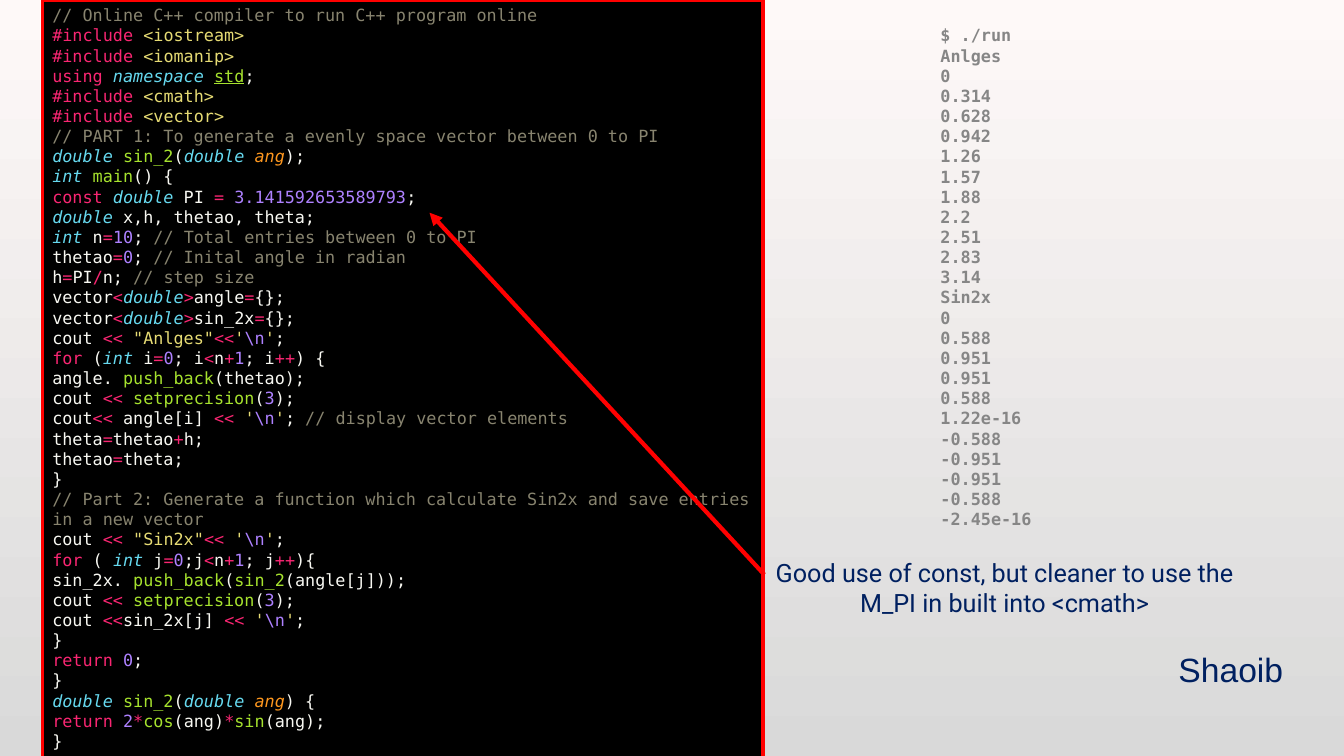
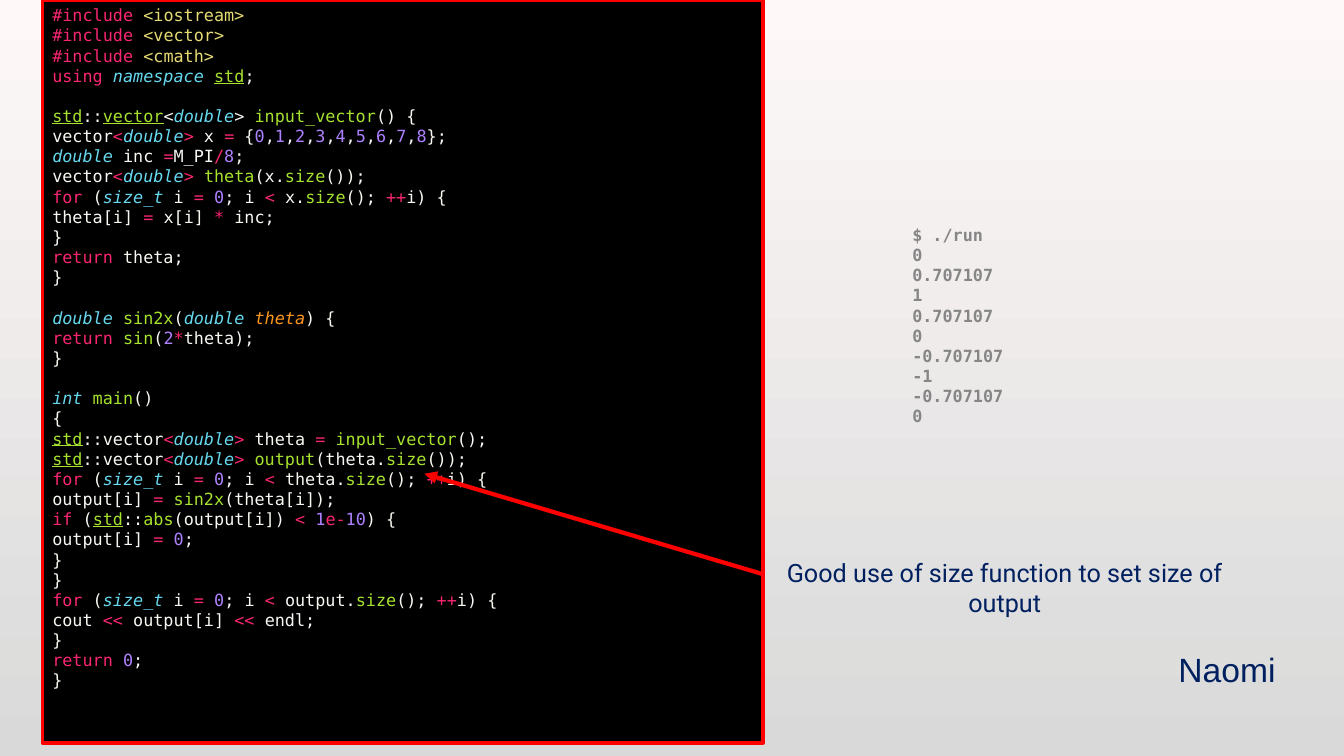
from dataclasses import dataclass
from typing import NamedTuple

from lxml.etree import SubElement
from pptx import Presentation
from pptx.dml.color import RGBColor
from pptx.enum.shapes import MSO_CONNECTOR as Link, MSO_SHAPE as Shape
from pptx.enum.text import MSO_ANCHOR as Anchor, PP_ALIGN as Align
from pptx.oxml.ns import qn
from pptx.slide import Slide
from pptx.text.text import TextFrame
from pptx.util import Inches, Pt

PALE = RGBColor(0xFE, 0xF9, 0xF8)
SILVER = RGBColor(0xD9, 0xD9, 0xD9)
BLACK = RGBColor(0x00, 0x00, 0x00)
RED = RGBColor(0xFF, 0x00, 0x00)
NAVY = RGBColor(0x00, 0x20, 0x60)
GRAY = RGBColor(0x86, 0x86, 0x86)
STONE = RGBColor(0x88, 0x84, 0x6F)
PINK = RGBColor(0xF9, 0x26, 0x72)
YELLOW = RGBColor(0xE6, 0xDB, 0x74)
CYAN = RGBColor(0x66, 0xD9, 0xEF)
GREEN = RGBColor(0xA6, 0xE2, 0x2E)
WHITE = RGBColor(0xF8, 0xF8, 0xF2)
PURPLE = RGBColor(0xAE, 0x81, 0xFF)
ORANGE = RGBColor(0xFD, 0x97, 0x1F)

MONO = "DejaVu Sans Mono"
PITCH = Pt(14.4)


class Style(NamedTuple):
    """Look of one kind of code token."""

    color: RGBColor
    italic: bool = False
    under: bool = False


STYLES = {
    "c": Style(STONE),
    "p": Style(PINK),
    "y": Style(YELLOW),
    "t": Style(CYAN, italic=True),
    "g": Style(GREEN),
    "u": Style(GREEN, under=True),
    "w": Style(WHITE),
    "n": Style(PURPLE),
    "a": Style(ORANGE, italic=True),
}


class Box(NamedTuple):
    """Place of a text box in inches."""

    left: float
    top: float
    width: float
    height: float


@dataclass(frozen=True)
class Review:
    """One program with its output, author and remark."""

    author: str
    remark: str
    blocks: tuple[str, ...]
    gap: Pt
    tall: float
    output: str
    spot: Box
    tip: tuple[float, float]


ANGLE_CODE = (
    r"""~c// Online C++ compiler to run C++ program online
~p#include ~y<iostream>
~p#include ~y<iomanip>
~pusing ~tnamespace ~ustd~w;
~p#include ~y<cmath>
~p#include ~y<vector>
~c// PART 1: To generate a evenly space vector between 0 to PI
~tdouble ~gsin_2~w(~tdouble ~aang~w);""",
    r"""~tint ~gmain~w() {
~pconst ~tdouble~w PI ~p= ~n3.141592653589793~w;
~tdouble ~wx,h, thetao, theta;
~tint~w n~p=~n10~w;~c // Total entries between 0 to PI
~wthetao~p=~n0~w;~c // Inital angle in radian
~wh~p=~wPI~p/~wn;~c // step size
~wvector~p<~tdouble~p>~wangle~p=~w{};
~wvector~p<~tdouble~p>~wsin_2x~p=~w{};
~wcout ~p<< ~y"Anlges"~p<<~y'~n\n~y'~w;""",
    r"""~pfor~w (~tint ~wi~p=~n0~w; i~p<~wn~p+~n1~w; i~p++~w) {
~wangle. ~gpush_back~w(thetao);
~wcout ~p<< ~gsetprecision~w(~n3~w);
~wcout~p<<~w angle[i] ~p<< ~y'~n\n~y'~w;~c // display vector elements
~wtheta~p=~wthetao~p+~wh;
~wthetao~p=~wtheta;
~w}""",
    r"""~c// Part 2: Generate a function which calculate Sin2x and save entries in a new vector
~wcout ~p<< ~y"Sin2x"~p<< ~y'~n\n~y'~w;
~pfor~w ( ~tint~w j~p=~n0~w;j~p<~wn~p+~n1~w; j~p++~w){
~wsin_2x. ~gpush_back~w(~gsin_2~w(angle[j]));
~wcout ~p<< ~gsetprecision~w(~n3~w);
~wcout ~p<<~wsin_2x[j] ~p<< ~y'~n\n~y'~w;
~w}
~preturn ~n0~w;
~w}""",
    r"""~tdouble ~gsin_2~w(~tdouble ~aang~w) {
~preturn ~n2~p*~gcos~w(ang)~p*~gsin~w(ang);
~w}""",
)

SIZE_CODE = (
    r"""~p#include ~y<iostream>
~p#include ~y<vector>
~p#include ~y<cmath>
~pusing ~tnamespace ~ustd~w;""",
    r"""~ustd~w::~uvector~w<~tdouble~w> ~ginput_vector~w() {
~wvector~p<~tdouble~p>~w x ~p=~w {~n0~w,~n1~w,~n2~w,~n3~w,~n4~w,~n5~w,~n6~w,~n7~w,~n8~w};
~tdouble ~winc ~p=~wM_PI~p/~n8~w;
~wvector~p<~tdouble~p> ~gtheta~w(x.~gsize~w());
~pfor~w (~tsize_t ~wi ~p= ~n0~w; i ~p< ~wx.~gsize~w(); ~p++~wi) {
~wtheta[i] ~p=~w x[i] ~p* ~winc;
~w}
~preturn~w theta;
~w}""",
    r"""~tdouble ~gsin2x~w(~tdouble ~atheta~w) {
~preturn ~gsin~w(~n2~p*~wtheta);
~w}""",
    r"""~tint ~gmain~w()
~w{
~ustd~w::vector~p<~tdouble~p>~w theta ~p= ~ginput_vector~w();
~ustd~w::vector~p<~tdouble~p> ~goutput~w(theta.~gsize~w());
~pfor~w (~tsize_t ~wi ~p= ~n0~w; i ~p< ~wtheta.~gsize~w(); ~p++~wi) {
~woutput[i] ~p= ~gsin2x~w(theta[i]);
~pif~w (~ustd~w::~gabs~w(output[i]) ~p< ~n1~pe-~n10~w) {
~woutput[i] ~p= ~n0~w;
~w}
~w}
~pfor~w (~tsize_t ~wi ~p= ~n0~w; i ~p< ~woutput.~gsize~w(); ~p++~wi) {
~wcout ~p<<~w output[i] ~p<< ~wendl;
~w}
~preturn ~n0~w;
~w}""",
)

ANGLE_OUT = """$ ./run
Anlges
0
0.314
0.628
0.942
1.26
1.57
1.88
2.2
2.51
2.83
3.14
Sin2x
0
0.588
0.951
0.951
0.588
1.22e-16
-0.588
-0.951
-0.951
-0.588
-2.45e-16"""

SIZE_OUT = """$ ./run
0
0.707107
1
0.707107
0
-0.707107
-1
-0.707107
0"""

REVIEWS = (
    Review(
        "Shaoib",
        "Good use of const, but cleaner to use the M_PI in built into <cmath>",
        ANGLE_CODE, Pt(0), 7.57,
        ANGLE_OUT, Box(9.23, 0.2, 2.27, 5.28), (4.26, 2.11),
    ),
    Review(
        "Naomi",
        "Good use of size function to set size of output",
        SIZE_CODE, PITCH, 7.37,
        SIZE_OUT, Box(8.95, 2.18, 2.27, 2.12), (4.21, 4.7),
    ),
)


def fill_code(frame: TextFrame, blocks: tuple[str, ...], gap: Pt) -> None:
    """Write marked code, one paragraph a line, with a gap between blocks."""
    para = None
    for block in blocks:
        if para:
            para.space_after = gap
        for line in block.splitlines():
            para = frame.add_paragraph() if para else frame.paragraphs[0]
            para.alignment = Align.LEFT
            para.line_spacing = PITCH
            para.font.name, para.font.size = MONO, Pt(12)
            for part in line.split("~")[1:]:
                style = STYLES[part[0]]
                run = para.add_run()
                run.text = part[1:]
                run.font.color.rgb = style.color
                if style.italic:
                    run.font.italic = True
                if style.under:
                    run.font.underline = True


def add_code(slide: Slide, item: Review) -> None:
    """Draw the black code panel."""
    panel = slide.shapes.add_shape(
        Shape.RECTANGLE, Inches(0.42), Inches(0), Inches(7.15), Inches(item.tall)
    )
    panel.shadow.inherit = False
    panel.fill.solid()
    panel.fill.fore_color.rgb = BLACK
    panel.line.color.rgb = RED
    panel.line.width = Pt(2.5)
    frame = panel.text_frame
    frame.word_wrap = True
    frame.vertical_anchor = Anchor.TOP
    fill_code(frame, item.blocks, item.gap)


def add_text(slide: Slide, box: Box, text: str, font: str, size: int,
             color: RGBColor = NAVY, align: Align = Align.LEFT) -> TextFrame:
    """Draw a text box with one paragraph a line."""
    frame = slide.shapes.add_textbox(*map(Inches, box)).text_frame
    frame.word_wrap = True
    frame.text = text
    for para in frame.paragraphs:
        para.alignment = align
        para.font.name, para.font.size = font, Pt(size)
        para.font.color.rgb = color
    return frame


def add_arrow(slide: Slide, tip: tuple[float, float]) -> None:
    """Draw the red arrow from the remark to a spot in the code."""
    arrow = slide.shapes.add_connector(
        Link.STRAIGHT, Inches(7.58), Inches(5.7), *map(Inches, tip)
    )
    arrow.line.color.rgb = RED
    arrow.line.width = Pt(3)
    props = arrow._element.spPr
    SubElement(props.find(qn("a:ln")), qn("a:tailEnd"), type="triangle")
    SubElement(props, qn("a:effectLst"))


def add_review(slide: Slide, item: Review) -> None:
    """Draw one review slide."""
    add_code(slide, item)
    frame = add_text(slide, item.spot, item.output, MONO, 12, GRAY)
    for para in frame.paragraphs:
        para.font.bold = True
        para.line_spacing = PITCH
    add_text(slide, Box(11.59, 6.39, 1.74, 0.5), item.author, "Arial", 24)
    add_arrow(slide, item.tip)
    add_text(slide, Box(7.58, 5.48, 4.77, 0.71), item.remark, "Roboto", 18,
             align=Align.CENTER)


def main() -> None:
    """Build and save the deck."""
    deck = Presentation()
    deck.slide_width, deck.slide_height = Inches(13.33), Inches(7.5)
    back = deck.slide_master.background.fill
    back.gradient()
    back.gradient_angle = 270
    for stop, color in zip(back.gradient_stops, (PALE, SILVER)):
        stop.color.rgb = color
    for item in REVIEWS:
        add_review(deck.slides.add_slide(deck.slide_layouts[6]), item)
    deck.save("out.pptx")


if __name__ == "__main__":
    main()
